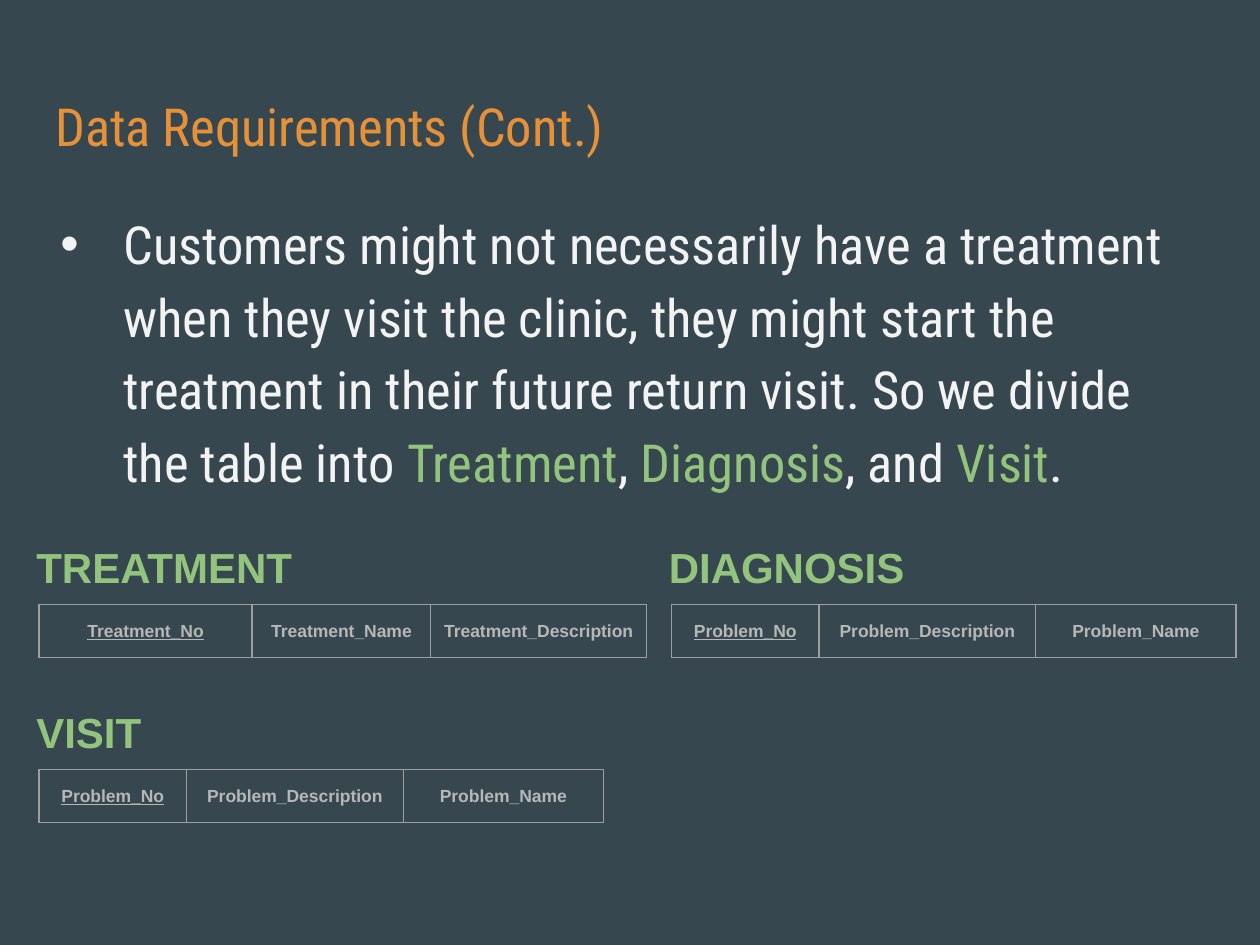
from lxml import etree
from pptx import Presentation, util as u
from pptx.dml.color import RGBColor
from pptx.enum import text as t
from pptx.oxml import ns

WIDTH, HEIGHT = 10, 7.5
MARGIN = 0.34
CONTENT_WIDTH = WIDTH - 2 * MARGIN
INSET = 0.1
ROW_HEIGHT = 0.42
HEADING_RISE, HEADING_SHIFT = 0.6, 0.12
BACKGROUND, ORANGE, WHITE, GREEN = "37474F", "E69138", "F3F3F3", "93C47D"
GREY, BORDER = "B7B7B7", "9E9E9E"
CONDENSED = "Roboto Condensed"
PROBLEM_FIELDS = [("Problem_No", 1.17), ("Problem_Description", 1.72), ("Problem_Name", 1.59)]
TREATMENT_FIELDS = [("Treatment_No", 1.69), ("Treatment_Name", 1.42), ("Treatment_Description", 1.71)]
RELATIONS = [
    ("TREATMENT", 0.31, 4.8, TREATMENT_FIELDS),
    ("DIAGNOSIS", 5.33, 4.8, PROBLEM_FIELDS),
    ("VISIT", 0.31, 6.11, PROBLEM_FIELDS),
]
STATEMENT = [
    ("Customers might not necessarily have a treatment when they visit the clinic, "
     "they might start the treatment in their future return visit. "
     "So we divide the table into ", WHITE),
    ("Treatment", GREEN), (", ", WHITE), ("Diagnosis", GREEN),
    (", and ", WHITE), ("Visit", GREEN), (".", WHITE),
]


def color(value):
    return RGBColor.from_string(value)


def add_text(paragraph, content, size, fill, font="Arial", bold=False, underline=False):
    run = paragraph.add_run()
    run.text = content
    run.font.name = font
    run.font.size = u.Pt(size)
    run.font.bold = bold
    run.font.underline = underline
    run.font.color.rgb = color(fill)


def add_frame(slide, left, top, width, height):
    frame = slide.shapes.add_textbox(*map(u.Inches, (left, top, width, height))).text_frame
    frame.word_wrap = True
    frame.margin_left = frame.margin_right = u.Inches(INSET)
    frame.margin_top = frame.margin_bottom = u.Inches(INSET)
    return frame.paragraphs[0]


def add_bullet(paragraph, indent, hanging, fill):
    properties = paragraph._p.get_or_add_pPr()
    properties.set("marL", str(u.Inches(indent)))
    properties.set("indent", str(-u.Inches(hanging)))
    bullet_color = etree.SubElement(properties, ns.qn("a:buClr"))
    etree.SubElement(bullet_color, ns.qn("a:srgbClr"), val=fill)
    etree.SubElement(properties, ns.qn("a:buFont"), typeface="Arial")
    etree.SubElement(properties, ns.qn("a:buChar"), char="•")


def add_borders(cell, fill, width):
    properties = cell._tc.get_or_add_tcPr()
    for position, side in enumerate(("a:lnL", "a:lnR", "a:lnT", "a:lnB")):
        line = etree.Element(ns.qn(side), w=str(u.Pt(width)))
        solid = etree.SubElement(line, ns.qn("a:solidFill"))
        etree.SubElement(solid, ns.qn("a:srgbClr"), val=fill)
        properties.insert(position, line)


def add_title(slide, left, top, width, height):
    paragraph = add_frame(slide, left, top, width, height)
    add_text(paragraph, "Data Requirements (Cont.)", size=30, fill=ORANGE, font=CONDENSED)


def add_statement(slide, left, top, width, height):
    paragraph = add_frame(slide, left, top, width, height)
    paragraph.line_spacing = 1.15
    add_bullet(paragraph, indent=0.54, hanging=0.5, fill=WHITE)
    for content, fill in STATEMENT:
        add_text(paragraph, content, size=30, fill=fill, font=CONDENSED)


def add_relation(slide, name, left, top, fields):
    width = sum(field_width for _, field_width in fields)
    box = map(u.Inches, (left, top, width, ROW_HEIGHT))
    table = slide.shapes.add_table(1, len(fields), *box).table
    table.first_row = table.horz_banding = False
    for index, (field, field_width) in enumerate(fields):
        table.columns[index].width = u.Inches(field_width)
        cell = table.cell(0, index)
        cell.fill.background()
        cell.vertical_anchor = t.MSO_ANCHOR.MIDDLE
        cell.margin_left = cell.margin_right = u.Inches(INSET)
        cell.margin_top = cell.margin_bottom = u.Inches(INSET)
        add_borders(cell, BORDER, 0.75)
        paragraph = cell.text_frame.paragraphs[0]
        paragraph.alignment = t.PP_ALIGN.CENTER
        add_text(paragraph, field, size=10, fill=GREY, bold=True, underline=index == 0)
    heading = add_frame(slide, left - HEADING_SHIFT, top - HEADING_RISE, 2.3, 0.64)
    add_text(heading, name, size=24, fill=GREEN, bold=True)


def main():
    presentation = Presentation()
    presentation.slide_width = u.Inches(WIDTH)
    presentation.slide_height = u.Inches(HEIGHT)
    slide = presentation.slides.add_slide(presentation.slide_layouts[6])
    slide.background.fill.solid()
    slide.background.fill.fore_color.rgb = color(BACKGROUND)
    add_title(slide, MARGIN, 0.65, CONTENT_WIDTH, 0.83)
    add_statement(slide, MARGIN, 1.51, CONTENT_WIDTH, 2.38)
    for relation in RELATIONS:
        add_relation(slide, *relation)
    presentation.save("out.pptx")


if __name__ == "__main__":
    main()
